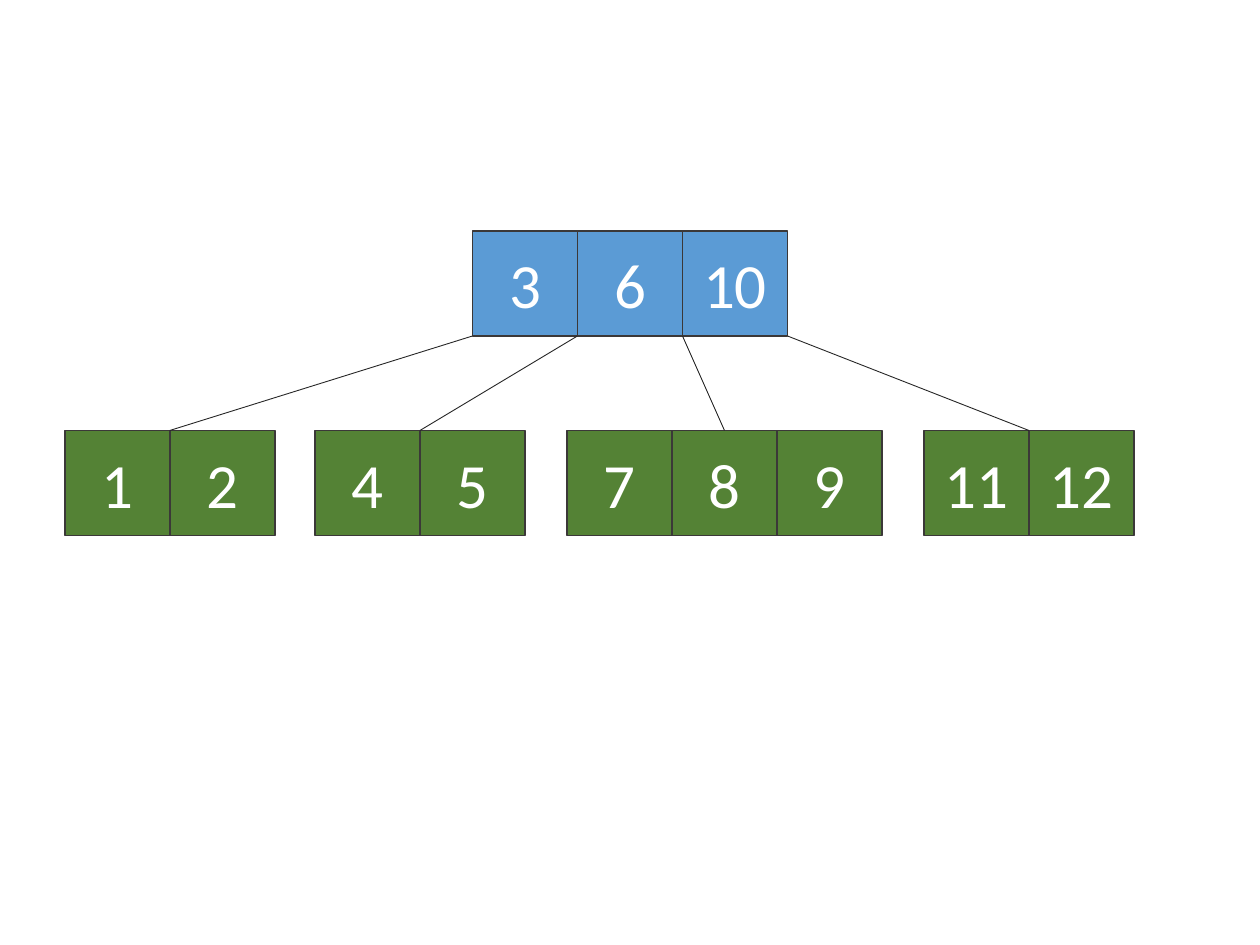
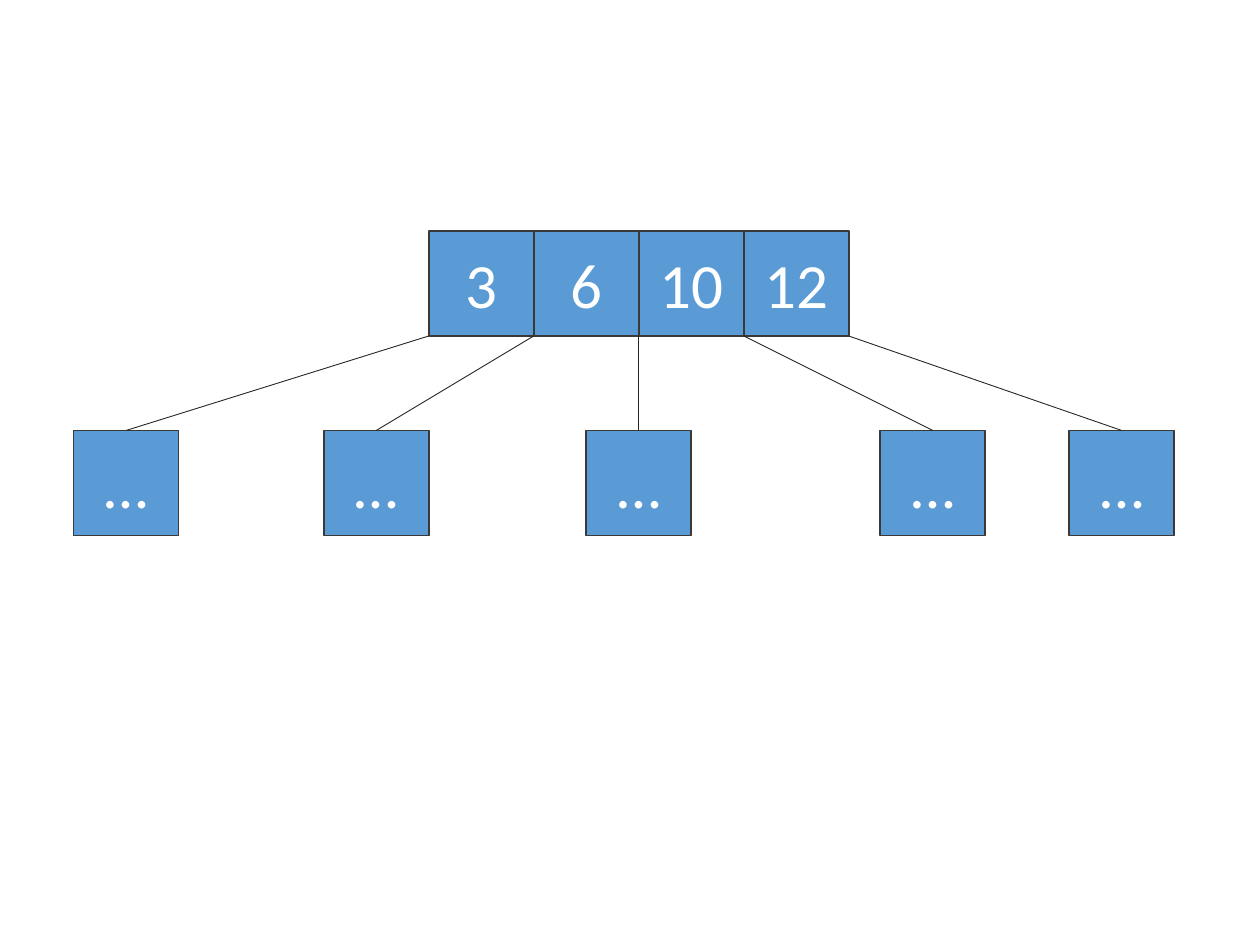
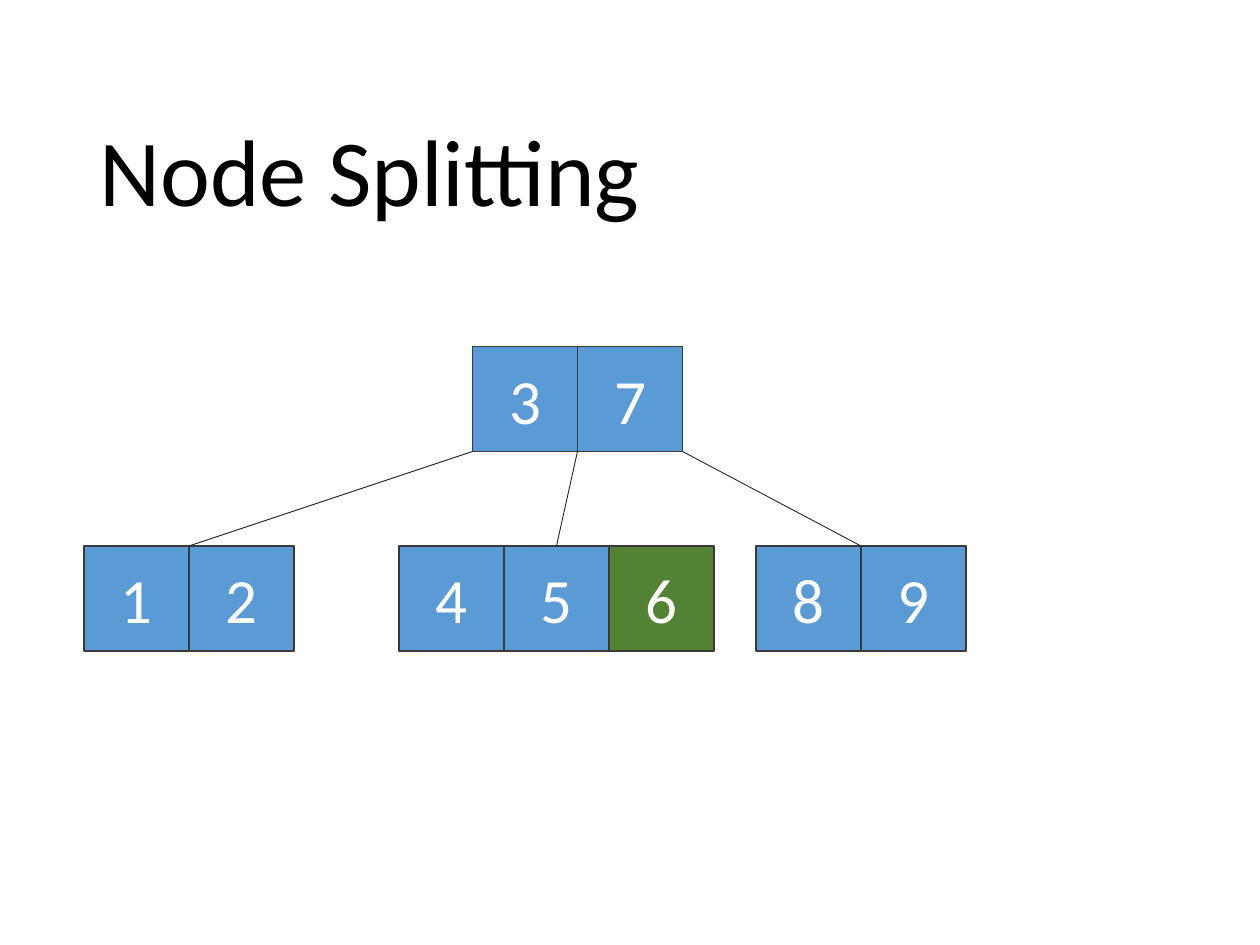
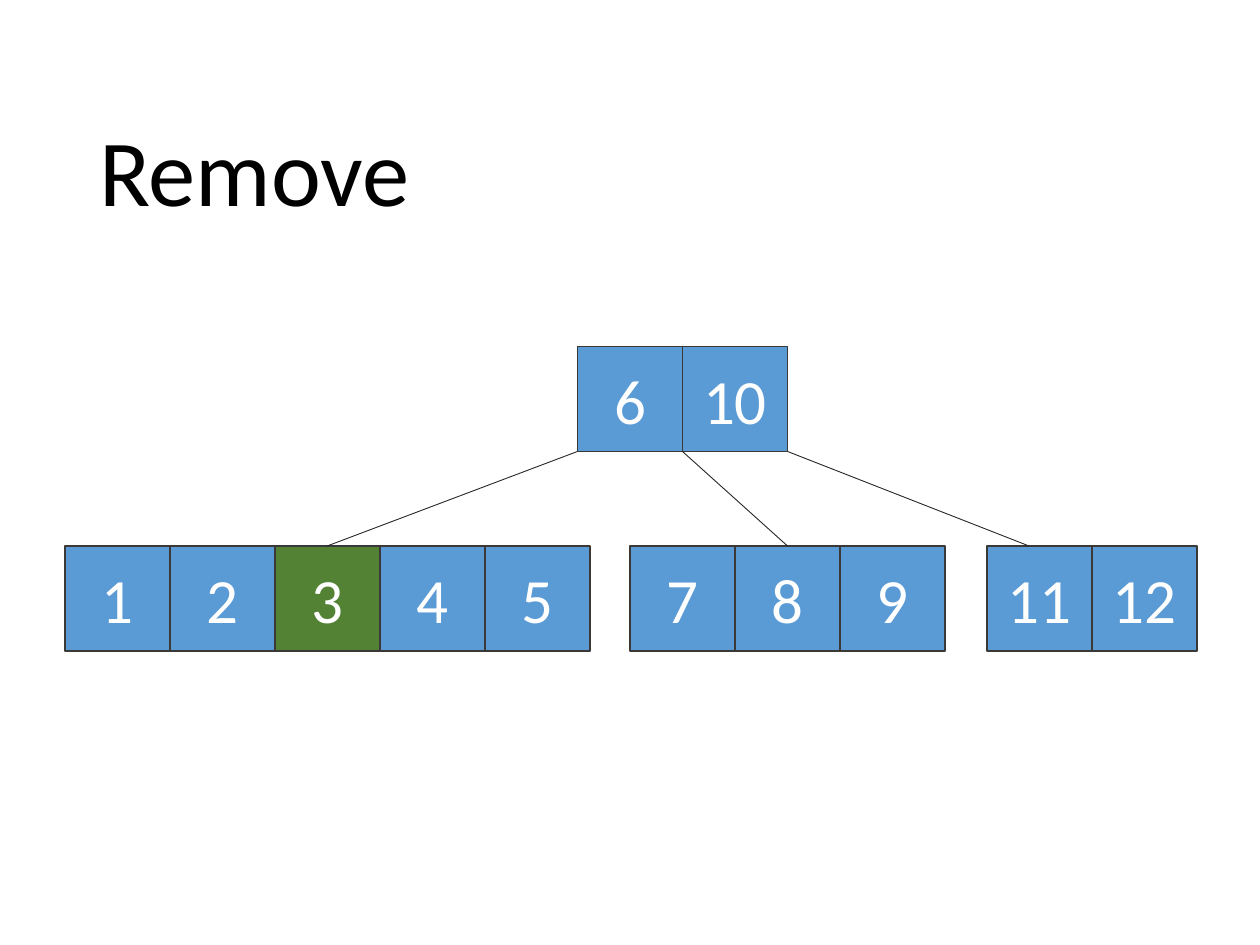
"""Build four slides of B-tree diagrams: nodes, splitting and removal."""
import pptx
import pptx.dml.color
import pptx.enum.shapes
import pptx.enum.text
import pptx.oxml.ns
import pptx.util
from lxml import etree

Pt = pptx.util.Pt
FONT = "Calibri"
BLUE = "5B9BD5"
GREEN = "548235"
CELL_LINE = "3B3838"
LINK_LINE = "262626"
WHITE = "FFFFFF"
BLACK = "000000"
CELL = 60
LEVEL_STEP = 114

# Each child is (left, keys, link position counted in cells from its left edge).
TREES = [
    {"title": None, "top": 132, "root": (270, ["3", "6", "10"]),
     "children": [(37, ["1", "2"], 1), (180, ["4", "5"], 1),
                  (324, ["7", "8", "9"], 1.5), (528, ["11", "12"], 1)],
     "green": ["1", "2", "4", "5", "7", "8", "9", "11", "12"]},
    {"title": None, "top": 132, "root": (245, ["3", "6", "10", "12"]),
     "children": [(left, ["…"], 0.5) for left in (42, 185, 335, 503, 611)],
     "green": []},
    {"title": "Node Splitting", "top": 198, "root": (270, ["3", "7"]),
     "children": [(48, ["1", "2"], 1), (228, ["4", "5", "6"], 1.5), (432, ["8", "9"], 1)],
     "green": ["6"]},
    {"title": "Remove", "top": 198, "root": (330, ["6", "10"]),
     "children": [(37, ["1", "2", "3", "4", "5"], 2.5), (360, ["7", "8", "9"], 1.5),
                  (564, ["11", "12"], 0.4)],
     "green": ["3"]},
]


def color(hex_value):
    return pptx.dml.color.RGBColor.from_string(hex_value)


def write(shape, text, size, text_color, anchor, alignment):
    text_frame = shape.text_frame
    text_frame.word_wrap = True
    text_frame.vertical_anchor = anchor
    text_frame.text = text
    paragraph = text_frame.paragraphs[0]
    paragraph.alignment = alignment
    font = paragraph.runs[0].font
    font.name = FONT
    font.size = Pt(size)
    font.color.rgb = color(text_color)
    return paragraph


presentation = pptx.Presentation()
presentation.slide_width = Pt(720)
presentation.slide_height = Pt(540)

for tree in TREES:
    slide = presentation.slides.add_slide(presentation.slide_layouts[6])

    if tree["title"]:
        title = slide.shapes.add_textbox(Pt(49.7), Pt(28.8), Pt(620.6), Pt(104.4))
        paragraph = write(title, tree["title"], 54, BLACK,
                          pptx.enum.text.MSO_ANCHOR.BOTTOM, pptx.enum.text.PP_ALIGN.LEFT)
        paragraph.line_spacing = 0.9

    root_left, root_keys = tree["root"]
    root_top = tree["top"]
    child_top = root_top + LEVEL_STEP
    nodes = [(root_left, root_top, root_keys)]
    nodes += [(left, child_top, keys) for left, keys, link in tree["children"]]

    for left, top, keys in nodes:
        for column, key in enumerate(keys):
            cell = slide.shapes.add_shape(
                pptx.enum.shapes.MSO_SHAPE.RECTANGLE,
                Pt(left + column * CELL), Pt(top), Pt(CELL), Pt(CELL))
            cell.shadow.inherit = False
            cell.fill.solid()
            cell.fill.fore_color.rgb = color(GREEN if key in tree["green"] else BLUE)
            cell.line.color.rgb = color(CELL_LINE)
            cell.line.width = Pt(1)
            write(cell, key, 36, WHITE,
                  pptx.enum.text.MSO_ANCHOR.MIDDLE, pptx.enum.text.PP_ALIGN.CENTER)

    for position, (left, keys, link) in enumerate(tree["children"]):
        connector = slide.shapes.add_connector(
            pptx.enum.shapes.MSO_CONNECTOR.STRAIGHT,
            Pt(root_left + position * CELL), Pt(root_top + CELL),
            Pt(left + link * CELL), Pt(child_top))
        connector.line.color.rgb = color(LINK_LINE)
        connector.line.width = Pt(0.5)
        etree.SubElement(connector._element.spPr, pptx.oxml.ns.qn("a:effectLst"))

presentation.save("out.pptx")
